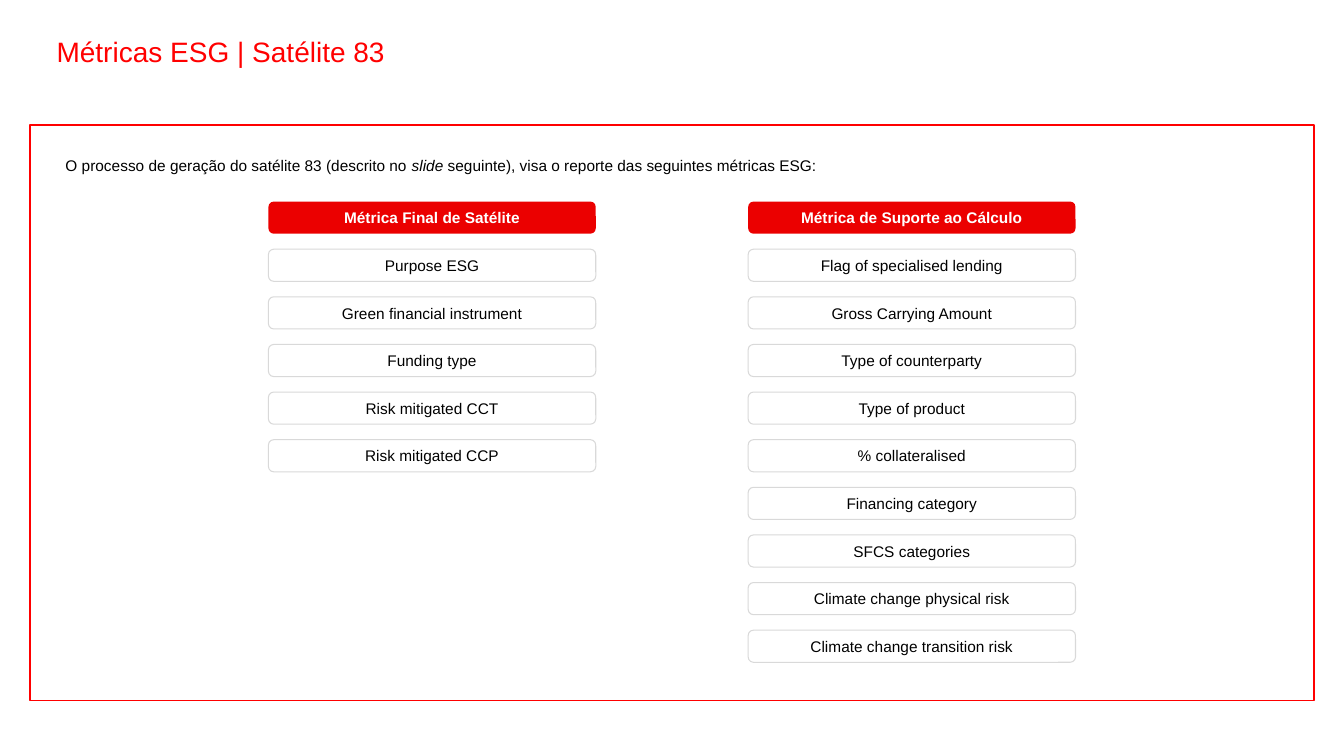
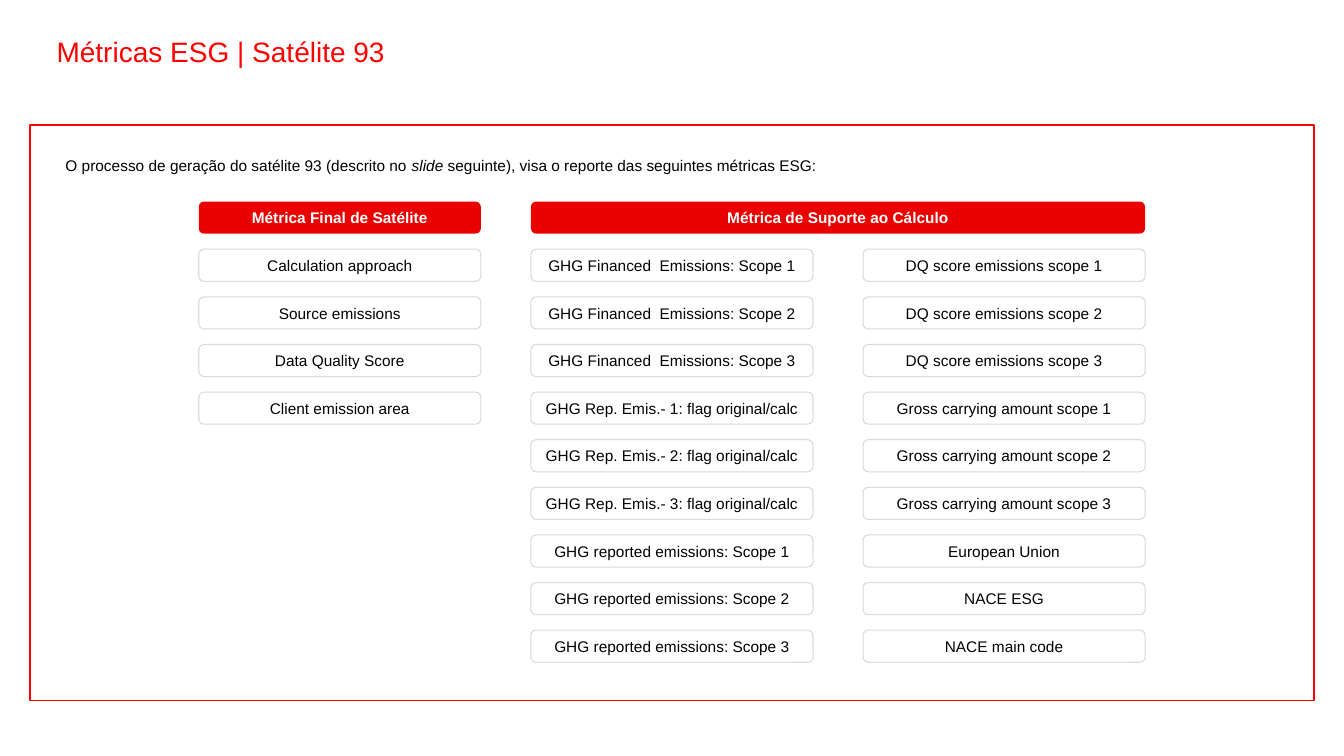
from pptx import Presentation
from pptx.dml.color import RGBColor
from pptx.enum.shapes import MSO_SHAPE
from pptx.enum.text import MSO_ANCHOR, PP_ALIGN
from pptx.util import Cm, Pt

# Content: each group is a header over one or more columns of metrics
FINAL = "Métrica Final de Satélite"
SUPPORT = "Métrica de Suporte ao Cálculo"
SATELLITES = [
    {
        "number": 83, "card_width": 8.25, "gap": 3.84,
        "groups": [
            (FINAL, [["Purpose ESG", "Green financial instrument", "Funding type",
                      "Risk mitigated CCT", "Risk mitigated CCP"]]),
            (SUPPORT, [["Flag of specialised lending", "Gross Carrying Amount",
                        "Type of counterparty", "Type of product", "% collateralised",
                        "Financing category", "SFCS categories",
                        "Climate change physical risk", "Climate change transition risk"]]),
        ],
    },
    {
        "number": 93, "card_width": 7.11, "gap": 1.26,
        "groups": [
            (FINAL, [["Calculation approach", "Source emissions", "Data Quality Score",
                      "Client emission area"]]),
            (SUPPORT, [
                ["GHG Financed  Emissions: Scope 1", "GHG Financed  Emissions: Scope 2",
                 "GHG Financed  Emissions: Scope 3", "GHG Rep. Emis.- 1: flag original/calc",
                 "GHG Rep. Emis.- 2: flag original/calc", "GHG Rep. Emis.- 3: flag original/calc",
                 "GHG reported emissions: Scope 1", "GHG reported emissions: Scope 2",
                 "GHG reported emissions: Scope 3"],
                ["DQ score emissions scope 1", "DQ score emissions scope 2",
                 "DQ score emissions scope 3", "Gross carrying amount scope 1",
                 "Gross carrying amount scope 2", "Gross carrying amount scope 3",
                 "European Union", "NACE ESG", "NACE main code"],
            ]),
        ],
    },
]

# Shared style, lengths in centimetres
FONT = "Arial"
RED, HEADER_RED, GREY, WHITE, BLACK = "FF0000", "EB0000", "D9D9D9", "FFFFFF", "000000"
SLIDE_WIDTH, SLIDE_HEIGHT = 33.87, 19.05
GRID_TOP, ROW_PITCH, CARD_HEIGHT = 5.08, 1.2, 0.81


def color(value):
    return RGBColor.from_string(value)


def place(part, left, top, width, height):
    part.left, part.top, part.width, part.height = map(Cm, (left, top, width, height))


def write(frame, text, size=11, fill=BLACK, bold=False, align=PP_ALIGN.LEFT,
          anchor=MSO_ANCHOR.MIDDLE, spacing=None, italic_word=None):
    """Write one paragraph, setting italic_word in italics if given."""
    frame.word_wrap = True
    frame.vertical_anchor = anchor
    paragraph = frame.paragraphs[0]
    paragraph.alignment = align
    paragraph.space_before = Pt(0)
    if spacing:
        paragraph.line_spacing = spacing
    before, word, after = text.partition(italic_word) if italic_word else (text, "", "")
    for piece, italic in ((before, False), (word, True), (after, False)):
        if piece:
            run = paragraph.add_run()
            run.text = piece
            run.font.name, run.font.size = FONT, Pt(size)
            run.font.bold, run.font.italic = bold, italic
            run.font.color.rgb = color(fill)


def add_box(slide, preset, box, fill=None, line=None, weight=0.75):
    shape = slide.shapes.add_shape(preset, *map(Cm, box))
    shape.shadow.inherit = False
    if fill:
        shape.fill.solid()
        shape.fill.fore_color.rgb = color(fill)
    else:
        shape.fill.background()
    if line:
        shape.line.color.rgb = color(line)
        shape.line.width = Pt(weight)
    else:
        shape.line.fill.background()
    return shape


def add_card(slide, text, left, row, width, header=False):
    box = (left, GRID_TOP + row * ROW_PITCH, width, CARD_HEIGHT)
    card = add_box(slide, MSO_SHAPE.ROUNDED_RECTANGLE, box,
                   fill=HEADER_RED if header else WHITE, line=None if header else GREY)
    write(card.text_frame, text, fill=WHITE if header else BLACK, bold=header,
          align=PP_ALIGN.CENTER)


def prepare_layout(layout):
    """Keep only the title placeholder and put it in place."""
    for placeholder in list(layout.placeholders):
        if placeholder.placeholder_format.idx:
            placeholder.element.getparent().remove(placeholder.element)
        else:
            place(placeholder, 1.17, 0.84, 25.73, 1.02)


def add_layout_frame(layout, slide):
    """Draw the red frame once and move it to the layout."""
    frame = add_box(slide, MSO_SHAPE.RECTANGLE, (0.76, 3.15, 32.36, 14.5),
                    line=RED, weight=1)
    layout.shapes.element.append(frame.element)


def fill_slide(slide, satellite):
    number, width, gap = (satellite[key] for key in ("number", "card_width", "gap"))

    # Title and introduction
    write(slide.shapes.title.text_frame, f"Métricas ESG | Satélite {number}",
          size=20, fill=RED, spacing=0.9)
    intro = slide.shapes.add_textbox(Cm(1.4), Cm(3.81), Cm(31.09), Cm(0.8))
    write(intro.text_frame,
          f"O processo de geração do satélite {number} (descrito no slide seguinte), "
          "visa o reporte das seguintes métricas ESG:",
          anchor=MSO_ANCHOR.TOP, italic_word="slide")

    # Grid of metrics, centred on the slide
    column_count = sum(len(columns) for _, columns in satellite["groups"])
    left = (SLIDE_WIDTH - column_count * width - (column_count - 1) * gap) / 2
    for header, columns in satellite["groups"]:
        span = len(columns) * (width + gap) - gap
        add_card(slide, header, left, 0, span, header=True)
        for metrics in columns:
            for row, metric in enumerate(metrics, start=1):
                add_card(slide, metric, left, row, width)
            left += width + gap


def main():
    deck = Presentation()
    deck.slide_width, deck.slide_height = Cm(SLIDE_WIDTH), Cm(SLIDE_HEIGHT)
    layout = deck.slide_layouts.get_by_name("Title Only")
    prepare_layout(layout)
    slides = [deck.slides.add_slide(layout) for _ in SATELLITES]
    add_layout_frame(layout, slides[0])
    for slide, satellite in zip(slides, SATELLITES):
        fill_slide(slide, satellite)
    deck.save("out.pptx")


if __name__ == "__main__":
    main()
